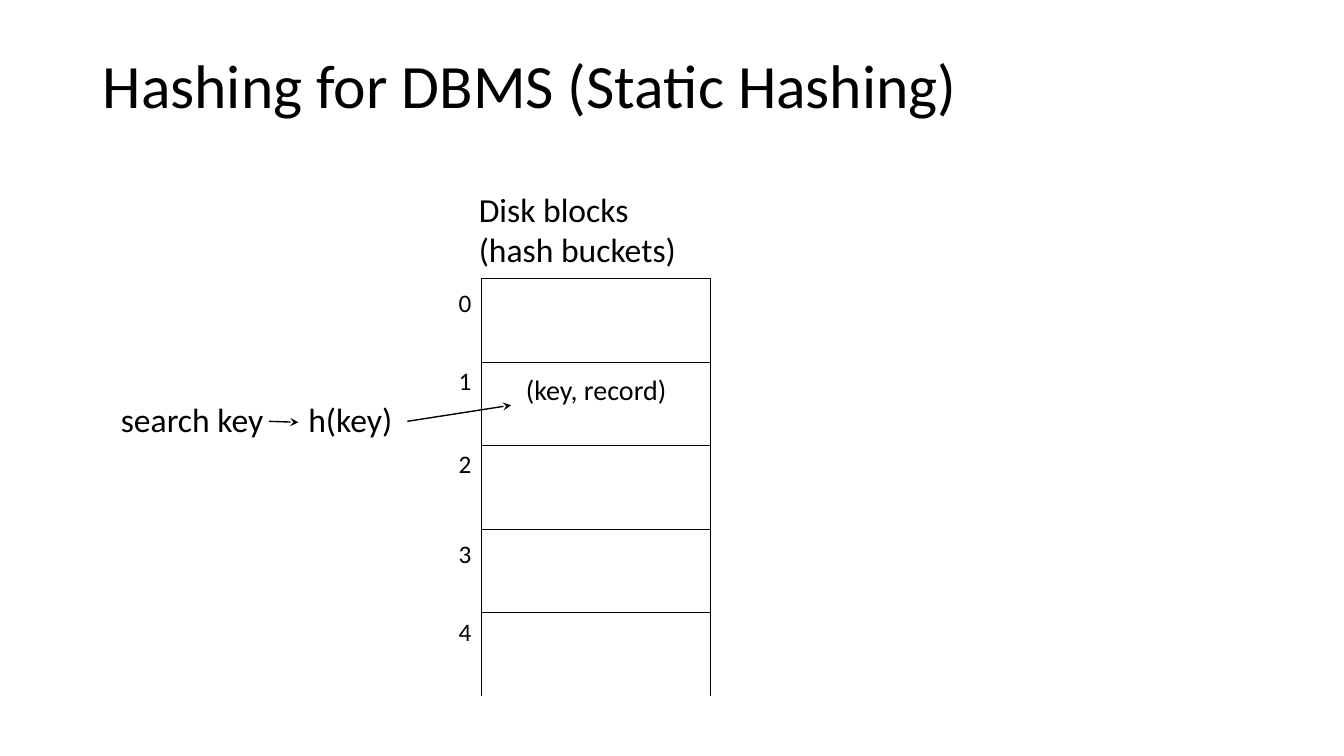
from dataclasses import dataclass

from lxml import etree
from pptx import Presentation
from pptx.dml.color import RGBColor
from pptx.enum.shapes import MSO_CONNECTOR, MSO_SHAPE
from pptx.enum.text import MSO_ANCHOR, PP_ALIGN
from pptx.oxml.ns import qn
from pptx.util import Inches, Pt

RECTANGLE = MSO_SHAPE.RECTANGLE
STRAIGHT = MSO_CONNECTOR.STRAIGHT
TOP, MIDDLE = MSO_ANCHOR.TOP, MSO_ANCHOR.MIDDLE
CENTER = PP_ALIGN.CENTER


@dataclass(frozen=True)
class Theme:
    """Colours, font, type sizes and line widths of the slide."""
    ink: RGBColor = RGBColor(0, 0, 0)
    paper: RGBColor = RGBColor(255, 255, 255)
    font: str = "Calibri"
    title: int = 44
    body: int = 24
    record: int = 20
    index: int = 18
    outline: float = 0.75
    arrow: float = 1


THEME = Theme()
BUCKET_LEFT, BUCKET_TOP = 4.78, 2.765
BUCKET_WIDTH, BUCKET_HEIGHT = 2.265, 0.828
CLOSED_BUCKETS = 4
INDEX_TOPS = (2.8, 3.58, 4.4, 5.29, 6.07)


def style_text(paragraph, size):
    """Apply the theme font and colour to a paragraph."""
    paragraph.font.name = THEME.font
    paragraph.font.size = Pt(size)
    paragraph.font.color.rgb = THEME.ink


def add_text(slide, text, left, top, width, height, size, anchor=TOP, wrap=False):
    """Add a text box and return its paragraph."""
    box = slide.shapes.add_textbox(
        Inches(left), Inches(top), Inches(width), Inches(height))
    frame = box.text_frame
    frame.word_wrap = wrap
    frame.vertical_anchor = anchor
    paragraph = frame.paragraphs[0]
    paragraph.text = text
    style_text(paragraph, size)
    return paragraph


def add_bucket(slide, top, text=""):
    """Add one outlined hash bucket, with its record if it holds one."""
    bucket = slide.shapes.add_shape(
        RECTANGLE, Inches(BUCKET_LEFT), Inches(top),
        Inches(BUCKET_WIDTH), Inches(BUCKET_HEIGHT))
    bucket.shadow.inherit = False
    bucket.fill.solid()
    bucket.fill.fore_color.rgb = THEME.paper
    bucket.line.color.rgb = THEME.ink
    bucket.line.width = Pt(THEME.outline)
    if text:
        frame = bucket.text_frame
        frame.word_wrap = False
        frame.vertical_anchor = TOP
        frame.margin_top = Inches(0.1)
        paragraph = frame.paragraphs[0]
        paragraph.text = text
        paragraph.alignment = CENTER
        style_text(paragraph, THEME.record)


def add_line(slide, start, end, width, arrow=False):
    """Add a straight line, with a stealth arrowhead at its end if asked."""
    line = slide.shapes.add_connector(
        STRAIGHT, *(Inches(value) for value in (*start, *end)))
    line.line.color.rgb = THEME.ink
    line.line.width = Pt(width)
    properties = line._element.spPr
    if arrow:
        etree.SubElement(properties.find(qn("a:ln")), qn("a:tailEnd"), type="stealth")
    etree.SubElement(properties, qn("a:effectLst"))


def add_buckets(slide):
    """Stack the closed buckets, leave the last one open and number them all."""
    for number in range(CLOSED_BUCKETS):
        text = "(key, record)" if number == 1 else ""
        add_bucket(slide, BUCKET_TOP + number * BUCKET_HEIGHT, text)
    open_top = BUCKET_TOP + CLOSED_BUCKETS * BUCKET_HEIGHT
    for side in (BUCKET_LEFT, BUCKET_LEFT + BUCKET_WIDTH):
        add_line(slide, (side, open_top), (side, open_top + BUCKET_HEIGHT), THEME.outline)
    for number, top in enumerate(INDEX_TOPS):
        add_text(slide, str(number), 4.45, top, 0.34, 0.4, THEME.index)


def main():
    """Build the static hashing slide and save it."""
    presentation = Presentation()
    presentation.slide_width = Inches(13.33)
    presentation.slide_height = Inches(7.5)
    slide = presentation.slides.add_slide(presentation.slide_layouts[6])

    title = add_text(slide, "Hashing for DBMS (Static Hashing)",
                     0.92, 0.33, 11.5, 1.09, THEME.title, MIDDLE, wrap=True)
    title.line_spacing = 0.9
    add_buckets(slide)
    add_text(slide, "Disk blocks\v(hash buckets)",
             4.65, 1.82, 2.52, 0.91, THEME.body, wrap=True)
    add_text(slide, "search key", 1.1, 3.91, 1.62, 0.5, THEME.body)
    add_text(slide, "h(key)", 2.96, 3.91, 1.06, 0.5, THEME.body)
    add_line(slide, (4.04, 4.18), (5.07, 4.02), THEME.arrow, arrow=True)
    add_line(slide, (2.67, 4.18), (2.96, 4.19), THEME.arrow, arrow=True)
    presentation.save("out.pptx")


if __name__ == "__main__":
    main()
